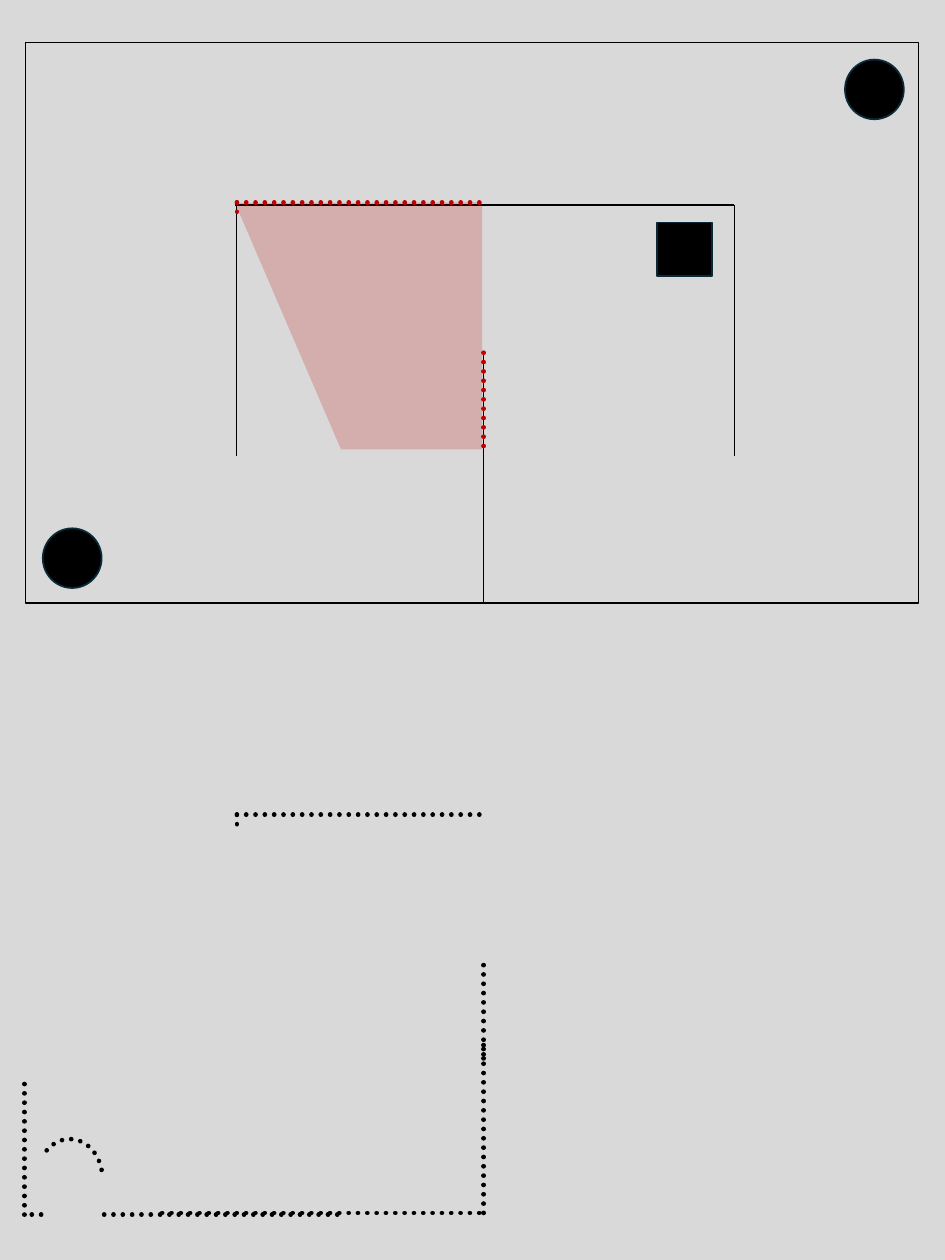
from lxml.etree import SubElement
from pptx import Presentation
from pptx.dml.color import RGBColor
from pptx.enum.dml import MSO_LINE
from pptx.enum.shapes import MSO_CONNECTOR, MSO_SHAPE
from pptx.oxml.ns import qn
from pptx.util import Inches, Pt

GREY = RGBColor(0xD9, 0xD9, 0xD9)
BLACK = RGBColor(0x00, 0x00, 0x00)
NAVY = RGBColor(0x09, 0x2A, 0x39)
RED = RGBColor(0xC0, 0x00, 0x00)

WALL = {"width": Pt(1)}
OUTLINE = {"width": Pt(1.5)}
DOTTED = {"width": Pt(4), "dash_style": MSO_LINE.ROUND_DOT}

LEFT_WALL, MIDDLE_WALL, RIGHT_WALL = 2.82, 5.76, 8.74


def format_line(shape, color, line_format):
    """Colour the line, apply its format and round the caps of dots."""
    shape.line.color.rgb = color
    for name, value in line_format.items():
        setattr(shape.line, name, value)
    if "dash_style" in line_format:
        shape._element.spPr.find(qn("a:ln")).set("cap", "rnd")


def add_segment(group, start, end, color=BLACK, line_format=WALL):
    """Draw a straight segment between two points in inches."""
    ends = [Inches(value) for value in (*start, *end)]
    segment = group.shapes.add_connector(MSO_CONNECTOR.STRAIGHT, *ends)
    format_line(segment, color, line_format)
    SubElement(segment._element.spPr, qn("a:effectLst"))


def add_block(group, kind, box, fill, color, line_format):
    """Add a preset shape, left hollow when fill is None."""
    block = group.shapes.add_shape(kind, *[Inches(value) for value in box])
    if fill is None:
        block.fill.background()
    else:
        block.fill.solid()
        block.fill.fore_color.rgb = fill
    format_line(block, color, line_format)
    block.shadow.inherit = False
    return block


def add_visible_area(group, corners):
    """Add the translucent red area enclosed by the corners."""
    points = [(Inches(x), Inches(y)) for x, y in corners]
    builder = group.shapes.build_freeform(*points[0])
    builder.add_line_segments(points[1:], close=True)
    area = builder.convert_to_shape()
    area.fill.solid()
    area.fill.fore_color.rgb = RED
    tint = area._element.spPr.find(qn("a:solidFill")).find(qn("a:srgbClr"))
    SubElement(tint, qn("a:alpha")).set("val", "20000")
    area.line.fill.background()
    area.shadow.inherit = False


def add_room(group):
    """Draw the room with its walls, obstacles and visible area."""
    add_block(group, MSO_SHAPE.RECTANGLE, (0.3, 0.51, 10.64, 6.67), GREY, BLACK, WALL)
    add_segment(group, (LEFT_WALL, 2.44), (LEFT_WALL, 5.43))
    add_segment(group, (MIDDLE_WALL, 4.19), (MIDDLE_WALL, 7.17))
    for kind, box in (
        (MSO_SHAPE.OVAL, (0.51, 6.29, 0.7, 0.71)),
        (MSO_SHAPE.OVAL, (10.06, 0.71, 0.7, 0.71)),
        (MSO_SHAPE.RECTANGLE, (7.82, 2.65, 0.66, 0.64)),
    ):
        add_block(group, kind, box, BLACK, NAVY, OUTLINE)
    add_segment(group, (RIGHT_WALL, 2.44), (RIGHT_WALL, 5.43))
    add_segment(group, (2.8, 2.44), (RIGHT_WALL, 2.44))
    add_visible_area(group, [(2.8, 2.42), (5.74, 2.41), (5.74, 5.35), (4.06, 5.35)])
    for start, end in (
        ((LEFT_WALL, 2.41), (5.75, 2.41)),
        ((MIDDLE_WALL, 5.31), (MIDDLE_WALL, 4.12)),
        ((LEFT_WALL, 2.41), (LEFT_WALL, 2.55)),
    ):
        add_segment(group, start, end, RED, DOTTED)


def add_scan(group):
    """Draw the dotted contours detected in the room."""
    arc = add_block(group, MSO_SHAPE.ARC, (0.44, 13.56, 0.78, 0.94), None, BLACK, DOTTED)
    arc.adjustments[0], arc.adjustments[1] = 138.41, 0
    for start, end in (
        ((0.29, 14.46), (0.29, 12.87)),
        ((0.49, 14.46), (0.29, 14.46)),
        ((1.24, 14.46), (4.07, 14.46)),
        ((1.93, 14.44), (MIDDLE_WALL, 14.44)),
        ((MIDDLE_WALL, 14.44), (MIDDLE_WALL, 12.36)),
        ((LEFT_WALL, 9.7), (5.75, 9.7)),
        ((MIDDLE_WALL, 12.6), (MIDDLE_WALL, 11.42)),
        ((LEFT_WALL, 9.7), (LEFT_WALL, 9.84)),
    ):
        add_segment(group, start, end, BLACK, DOTTED)


def main():
    """Build the slide and save it."""
    presentation = Presentation()
    presentation.slide_width = Inches(11.25)
    presentation.slide_height = Inches(15)
    slide = presentation.slides.add_slide(presentation.slide_layouts[6])
    slide.background.fill.solid()
    slide.background.fill.fore_color.rgb = GREY
    add_room(slide.shapes.add_group_shape())
    add_scan(slide.shapes.add_group_shape())
    presentation.save("out.pptx")


if __name__ == "__main__":
    main()
